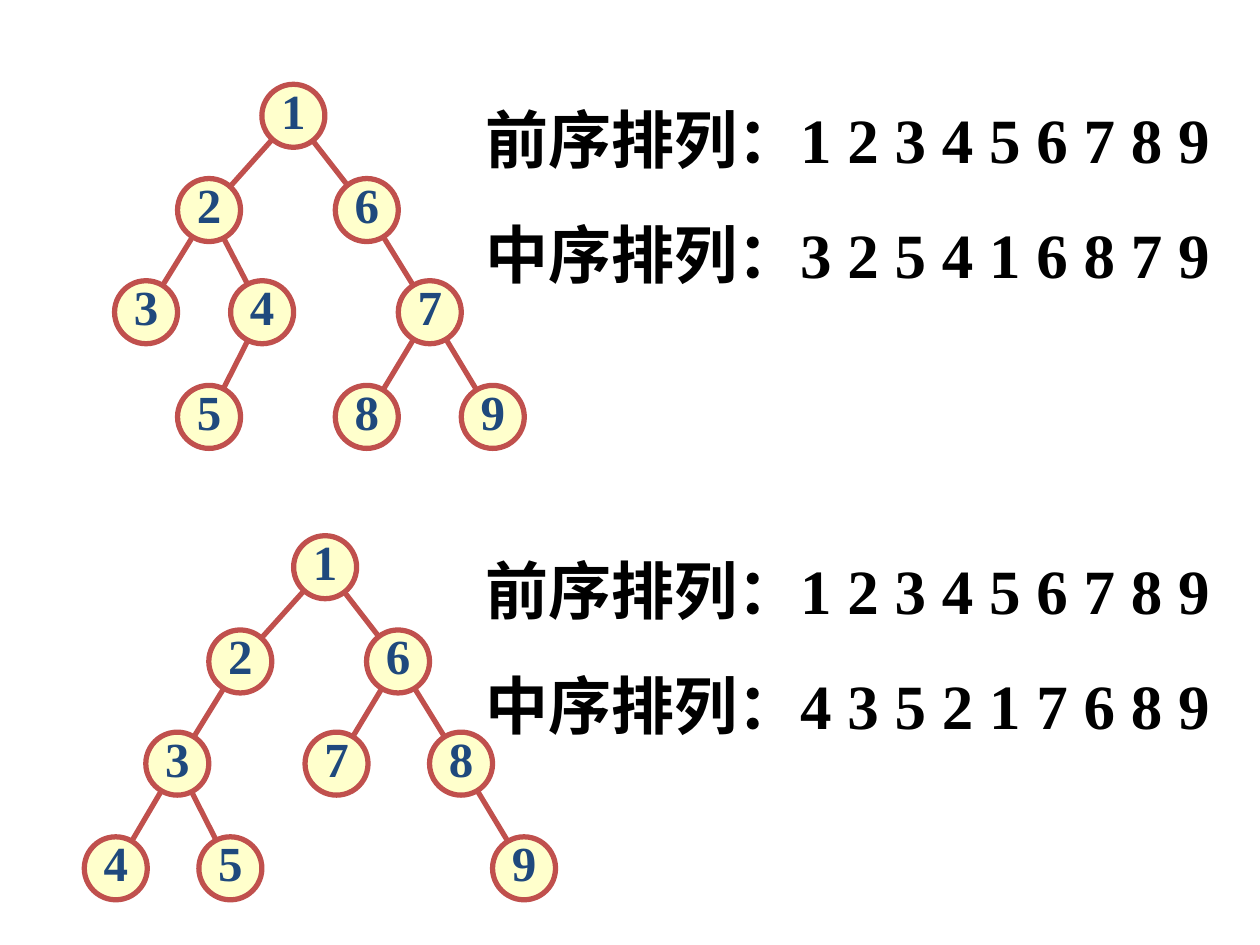
from math import hypot

from pptx import Presentation
from pptx.dml.color import RGBColor
from pptx.enum import shapes, text
from pptx.oxml.ns import qn
from pptx.util import Cm, Pt

CREAM = RGBColor(0xFF, 0xFF, 0xCC)
RED = RGBColor(0xC0, 0x50, 0x4D)
NAVY = RGBColor(0x1F, 0x49, 0x7D)
BLACK = RGBColor(0, 0, 0)
FACE = "Times New Roman"
SIZE = 1.27  # node diameter, cm
TRIM = 0.55  # gap from a node's centre to the end of its edge, cm
ROWS = [0, 1.9, 3.96, 6.07]  # top of each tree level, cm

# Nodes in preorder, numbered from 1: (parent, left in cm)
UPPER = [(0, 2.97), (1, 1.27), (2, 0), (2, 2.34), (4, 1.27),
         (1, 4.45), (6, 5.72), (7, 4.45), (7, 6.99)]
LOWER = [(0, 4.22), (1, 2.51), (2, 1.24), (3, 0), (3, 2.31),
         (1, 5.69), (6, 4.45), (6, 6.96), (8, 8.23)]


def style(font, size, color):
    look = {"name": FACE, "size": Pt(size), "bold": True}
    for key, value in look.items():
        setattr(font, key, value)
    font.color.rgb = color


def outline(line):
    line.color.rgb = RED
    line.width = Pt(3)


def add_edge(slide, start, end):
    """Join two node centres, stopping just inside each circle."""
    (x1, y1), (x2, y2) = start, end
    part = TRIM / hypot(x2 - x1, y2 - y1)
    dx, dy = (x2 - x1) * part, (y2 - y1) * part
    ends = [Cm(v) for v in (x1 + dx, y1 + dy, x2 - dx, y2 - dy)]
    edge = slide.shapes.add_connector(shapes.MSO_CONNECTOR.STRAIGHT, *ends)
    outline(edge.line)
    props = edge._element.spPr
    props.append(props.makeelement(qn("a:effectLst"), {}))


def add_node(slide, center, label):
    x, y = (v - SIZE / 2 for v in center)
    node = slide.shapes.add_shape(shapes.MSO_SHAPE.OVAL,
                                  Cm(x), Cm(y), Cm(SIZE), Cm(SIZE))
    node.shadow.inherit = False
    node.fill.solid()
    node.fill.fore_color.rgb = CREAM
    outline(node.line)
    frame = node.text_frame
    layout = {"margin_left": 0, "margin_right": 0, "margin_top": 0,
              "margin_bottom": Cm(0.25), "word_wrap": False,
              "vertical_anchor": text.MSO_ANCHOR.MIDDLE}
    for key, value in layout.items():
        setattr(frame, key, value)
    para = frame.paragraphs[0]
    para.text = label
    para.alignment = text.PP_ALIGN.CENTER
    style(para.font, 28, NAVY)


def add_tree(slide, left, top, nodes):
    depth, spots = {0: -1}, {}
    for num, (parent, x) in enumerate(nodes, 1):
        depth[num] = depth[parent] + 1
        spots[num] = (left + x + SIZE / 2, top + ROWS[depth[num]] + SIZE / 2)
    for num, (parent, _) in enumerate(nodes, 1):
        if parent:
            add_edge(slide, spots[parent], spots[num])
    for num, spot in spots.items():
        add_node(slide, spot, str(num))


def add_orders(slide, left, top, width, height, lines):
    box = slide.shapes.add_textbox(Cm(left), Cm(top), Cm(width), Cm(height))
    frame = box.text_frame
    frame.word_wrap = True
    for i, line in enumerate(lines):
        para = frame.add_paragraph() if i else frame.paragraphs[0]
        para.text = line
        if i:
            para.space_before = Pt(22.5)
        style(para.font, 36, BLACK)


def main():
    deck = Presentation()
    deck.slide_width, deck.slide_height = Cm(25.4), Cm(19.05)
    slide = deck.slides.add_slide(deck.slide_layouts.get_by_name("Blank"))
    parts = [(2.31, 1.7, UPPER, "3 2 5 4 1 6 8 7 9"),
             (1.7, 10.8, LOWER, "4 3 5 2 1 7 6 8 9")]
    for left, top, nodes, inner in parts:
        add_tree(slide, left, top, nodes)
        add_orders(slide, 9.53, top + 0.2, 15.88, 4.11,
                   ["前序排列：1 2 3 4 5 6 7 8 9", "中序排列：" + inner])
    deck.save("out.pptx")


if __name__ == "__main__":
    main()
